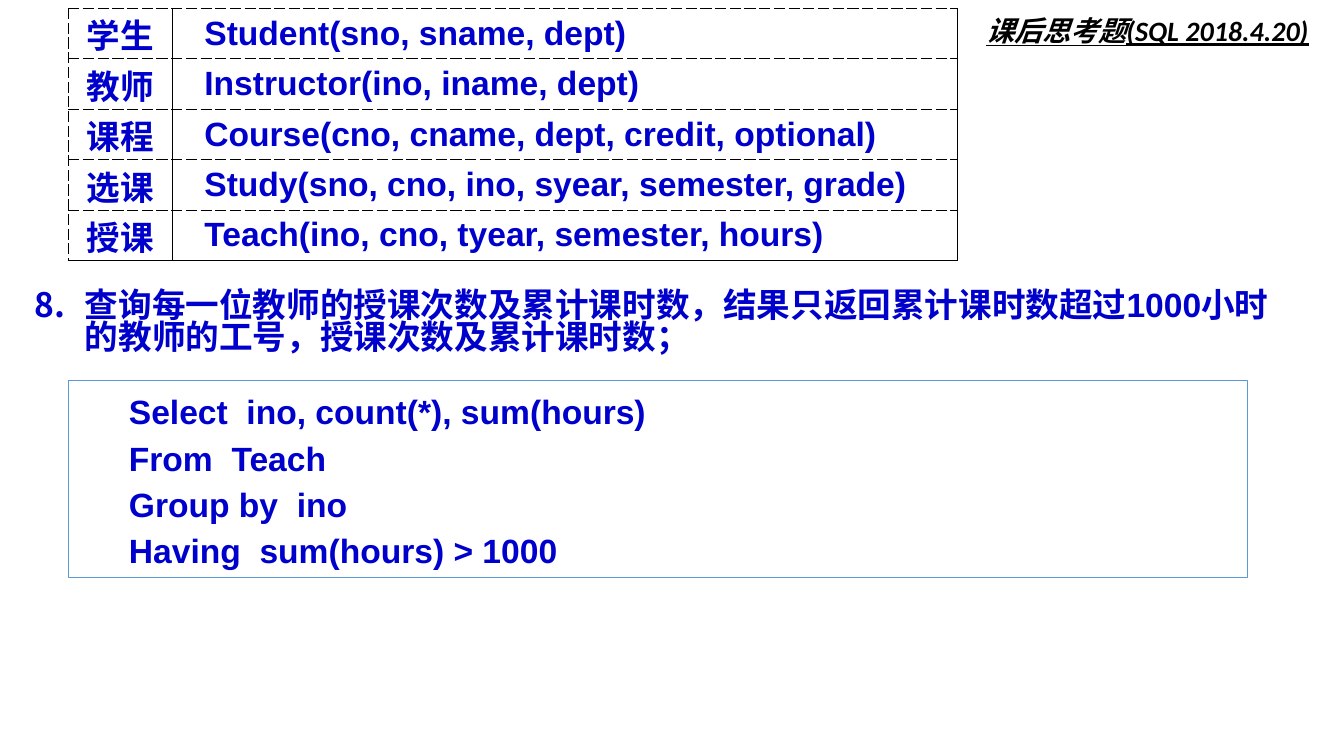
from lxml.etree import SubElement
from pptx import Presentation
from pptx.dml.color import RGBColor
from pptx.enum.shapes import MSO_SHAPE
from pptx.enum.text import MSO_ANCHOR, MSO_AUTO_SIZE, PP_ALIGN
from pptx.oxml.ns import qn
from pptx.util import Pt

HEAD = "课后思考题(SQL 2018.4.20)"
TASK = "查询每一位教师的授课次数及累计课时数，结果只返回累计课时数超过1000小时的教师的工号，授课次数及累计课时数；"
ROWS = [
    ("学生", "Student(sno, sname, dept)"),
    ("教师", "Instructor(ino, iname, dept)"),
    ("课程", "Course(cno, cname, dept, credit, optional)"),
    ("选课", "Study(sno, cno, ino, syear, semester, grade)"),
    ("授课", "Teach(ino, cno, tyear, semester, hours)"),
]
QUERY = [
    "Select  ino, count(*), sum(hours)",
    "From  Teach",
    "Group by  ino",
    "Having  sum(hours) > 1000",
]
BLUE, BLACK, EDGE = "0000CC", "000000", "5B9BD5"
MAIN = dict(name="Arial", size=Pt(24), bold=True)
NOTE = dict(name="Calibri", size=Pt(20), bold=True, italic=True, underline=True)
LEFT, COLS, HIGH = 49, (74, 561), 36
CELLS = [
    (PP_ALIGN.CENTER, dict(margin_top=Pt(1), margin_bottom=Pt(0))),
    (PP_ALIGN.LEFT, dict(margin_top=Pt(0), margin_bottom=Pt(0), margin_left=Pt(23))),
]


def tint(fmt, hue):
    """Set a colour format from a hex string."""
    fmt.rgb = RGBColor.from_string(hue)


def assign(obj, vals):
    """Set attributes from a dict."""
    for key, val in vals.items():
        setattr(obj, key, val)


def place(obj, *box):
    """Move and size a shape in points."""
    assign(obj, dict(zip(("left", "top", "width", "height"), map(Pt, box))))


def write(par, text, font, hue, **form):
    """Fill a paragraph with one formatted run."""
    run = par.add_run()
    run.text = text
    assign(run.font, font)
    tint(run.font.color, hue)
    assign(par, form)


def indent(par, left, first):
    """Set the left margin and first-line indent."""
    props = par._p.get_or_add_pPr()
    props.set("marL", str(Pt(left)))
    props.set("indent", str(Pt(first)))
    return props


def border(cell, side, wide, dash):
    """Draw one cell border."""
    line = SubElement(cell._tc.get_or_add_tcPr(), qn("a:" + side), w=str(Pt(wide)))
    fill = SubElement(line, qn("a:solidFill"))
    SubElement(fill, qn("a:srgbClr"), val=BLACK)
    SubElement(line, qn("a:prstDash"), val=dash)


deck = Presentation()
assign(deck, dict(slide_width=Pt(960), slide_height=Pt(540)))
slide = deck.slides.add_slide(deck.slide_layouts[1])
title, body = slide.placeholders

place(title, 694, 6, 248, 32)
title.text_frame.vertical_anchor = MSO_ANCHOR.TOP
write(title.text_frame.paragraphs[0], HEAD, NOTE, BLACK, alignment=PP_ALIGN.RIGHT)

place(body, 17.5, 204.5, 906.5, 65.5)
body.text_frame.auto_size = MSO_AUTO_SIZE.NONE
par = body.text_frame.paragraphs[0]
write(par, TASK, MAIN, BLUE, space_before=Pt(10), line_spacing=0.8)
props = indent(par, 36, -36)
SubElement(props, qn("a:buFont"), typeface="+mj-ea")
SubElement(props, qn("a:buAutoNum"), type="arabicPeriod", startAt="8")

frame = slide.shapes.add_table(len(ROWS), len(COLS), Pt(LEFT), Pt(6), Pt(sum(COLS)), Pt(HIGH * len(ROWS)))
table = frame.table
assign(table, dict(first_row=False, horz_banding=False))
for col, wide in zip(table.columns, COLS):
    col.width = Pt(wide)
for r, row in enumerate(ROWS):
    table.rows[r].height = Pt(HIGH)
    last = r == len(ROWS) - 1
    for c, (text, (align, form)) in enumerate(zip(row, CELLS)):
        cell = table.cell(r, c)
        assign(cell, dict(form, vertical_anchor=MSO_ANCHOR.MIDDLE))
        write(cell.text_frame.paragraphs[0], text, MAIN, BLUE, alignment=align)
        for side in ("lnL", "lnR", "lnT", "lnB"):
            solid = side == "lnR" or (last and side == "lnB")
            border(cell, side, *((1, "solid") if solid else (0.5, "sysDash")))
        cell.fill.background()

code = slide.shapes.add_shape(MSO_SHAPE.RECTANGLE, Pt(LEFT), Pt(271.5), Pt(842), Pt(141))
code.shadow.inherit = False
code.fill.background()
code.line.width = Pt(0.75)
tint(code.line.color, EDGE)
text = code.text_frame
assign(text, dict(word_wrap=True, vertical_anchor=MSO_ANCHOR.TOP))
for n, line in enumerate(QUERY):
    par = text.add_paragraph() if n else text.paragraphs[0]
    write(par, line, MAIN, BLUE, alignment=PP_ALIGN.LEFT, line_spacing=1.15)
    indent(par, 36, 0)

deck.save("out.pptx")
